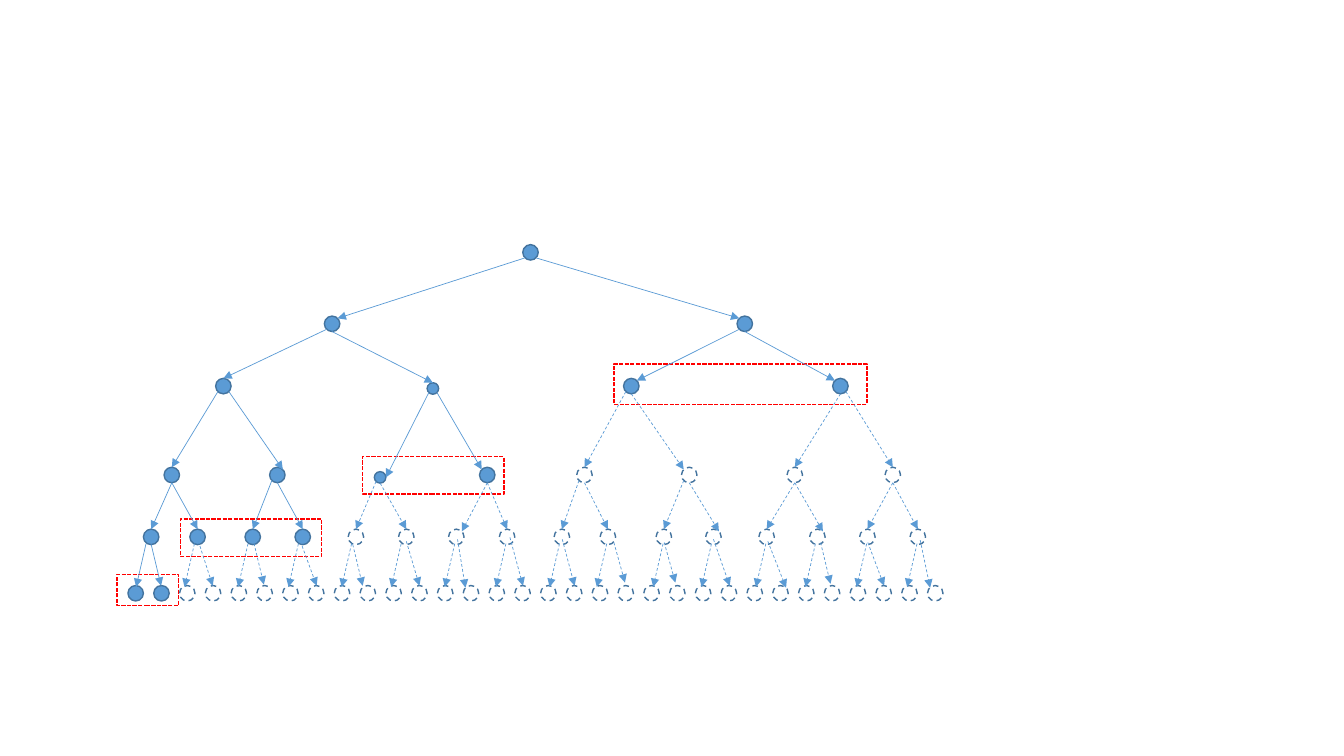
from lxml.etree import SubElement
from pptx import Presentation
from pptx.dml.color import RGBColor
from pptx.enum.dml import MSO_LINE
from pptx.enum.shapes import MSO_CONNECTOR, MSO_SHAPE
from pptx.oxml.ns import qn
from pptx.util import Cm, Pt

# Content: tree levels as (centre y, filled nodes, centre xs), in cm
LEVELS = [
    (6.36, 1, [13.37]),
    (8.16, 2, [8.37, 18.77]),
    (9.73, 4, [5.63, 10.91, 15.91, 21.18]),
    (11.97, 4, [4.33, 6.99, 9.58, 12.28, 14.73, 17.37, 20.03, 22.50]),
    (13.53, 4, [3.81, 4.98, 6.37, 7.63, 8.97, 10.24, 11.50, 12.78,
                14.16, 15.32, 16.73, 17.98, 19.32, 20.60, 21.86, 23.13]),
    (14.95, 2, [3.42 + 0.65 * leaf for leaf in range(32)]),
]
SMALL_NODES = {(2, 1), (3, 2)}  # (level, index)

# Sides joined by each arrow, one per child: "parent side, child side"
LINKS = [
    ["BL TR", "BR TL"],
    ["BL T", "B T", "BL TR", "B TL"],
    ["BL T", "BR TR", "BL R", "BR TL", "BL T", "B TL", "B T", "BR T"],
    ["B T", "B T", "BL T", "B T", "BL T", "B T", "B TR", "B T",
     "BL T", "B T", "BL T", "B TR", "B T", "B TR", "B T", "B T"],
]

# Arrows to the leaves: left ones all lean alike, right ones vary
LEFT_STARTS = [3.68, 4.90, 6.25, 7.52, 8.86, 10.11, 11.46, 12.75,
               14.10, 15.29, 16.71, 17.93, 19.30, 20.55, 21.84, 23.11]
LEFT_TOP, LEFT_RUN, LEFT_DROP = 13.70, -0.25, 1.09
RIGHT_ARROWS = [
    (3.81, 13.72, 4.06, 14.76), (5.00, 13.64, 5.36, 14.76),
    (6.40, 13.69, 6.65, 14.73), (7.57, 13.64, 7.98, 14.76),
    (8.89, 13.72, 9.14, 14.76), (10.24, 13.64, 10.57, 14.76),
    (11.53, 13.59, 11.73, 14.81), (12.85, 13.54, 13.18, 14.76),
    (14.17, 13.59, 14.48, 14.76), (15.47, 13.67, 15.75, 14.68),
    (16.74, 13.67, 17.02, 14.68), (17.98, 13.59, 18.39, 14.76),
    (19.35, 13.64, 19.81, 14.81), (20.68, 13.67, 20.93, 14.71),
    (21.87, 13.67, 22.28, 14.76), (23.19, 13.61, 23.44, 14.81),
]

# Red frames: left, top, width, height
FRAMES = [(15.47, 9.17, 6.38, 1.02), (9.14, 11.51, 3.56, 0.94),
          (4.55, 13.08, 3.56, 0.94), (2.95, 14.47, 1.55, 0.79)]

BLUE, DARK_BLUE, RED, WHITE = "5B9BD5", "43739E", "FF0000", "FFFFFF"
NODE_SIZE, SMALL_SIZE, SMALL_SHIFT = 0.39, 0.29, 0.06
DIRECTIONS = {"T": (0, -1), "B": (0, 1), "R": (1, 0), "BL": (-0.71, 0.71),
              "BR": (0.71, 0.71), "TL": (-0.71, -0.71), "TR": (0.71, -0.71)}

deck = Presentation()
deck.slide_width, deck.slide_height = Cm(33.87), Cm(19.05)
page = deck.slides.add_slide(deck.slide_layouts[6])


def color(value):
    return RGBColor.from_string(value)


def style_line(line, value, width, dash=None):
    line.color.rgb = color(value)
    line.width = Pt(width)
    if dash is not None:
        line.dash_style = dash


def add_outline(kind, left, top, width, height, fill, line, dash=None):
    shape = page.shapes.add_shape(kind, Cm(left), Cm(top), Cm(width), Cm(height))
    shape.shadow.inherit = False
    shape.fill.solid()
    shape.fill.fore_color.rgb = color(fill)
    style_line(shape.line, line, 1, dash)


def add_arrow(x1, y1, x2, y2, dashed):
    arrow = page.shapes.add_connector(
        MSO_CONNECTOR.STRAIGHT, Cm(x1), Cm(y1), Cm(x2), Cm(y2))
    style_line(arrow.line, BLUE, 0.5, MSO_LINE.DASH if dashed else None)
    properties = arrow.line._get_or_add_ln()
    SubElement(properties, qn("a:tailEnd"), type="triangle")
    SubElement(arrow._element.spPr, qn("a:effectLst"))


def node_place(level, index):
    """Centre x, centre y and diameter of one node."""
    y, _, centres = LEVELS[level]
    if (level, index) in SMALL_NODES:
        return centres[index], y + SMALL_SHIFT, SMALL_SIZE
    return centres[index], y, NODE_SIZE


def node_side(level, index, side):
    x, y, size = node_place(level, index)
    across, down = DIRECTIONS[side]
    return x + across * size / 2, y + down * size / 2


def is_dashed(level, index):
    return index >= LEVELS[level][1]


# Frames at the back
for frame in FRAMES:
    add_outline(MSO_SHAPE.RECTANGLE, *frame, WHITE, RED, MSO_LINE.SQUARE_DOT)

# Nodes, from the leaves up
for level in reversed(range(len(LEVELS))):
    for index in range(len(LEVELS[level][2])):
        x, y, size = node_place(level, index)
        dashed = is_dashed(level, index)
        add_outline(MSO_SHAPE.OVAL, x - size / 2, y - size / 2, size, size,
                    WHITE if dashed else BLUE, DARK_BLUE,
                    MSO_LINE.DASH if dashed else None)

# Arrows between the upper levels
for level, links in enumerate(LINKS):
    for child, link in enumerate(links):
        parent_side, child_side = link.split()
        add_arrow(*node_side(level, child // 2, parent_side),
                  *node_side(level + 1, child, child_side),
                  is_dashed(level + 1, child))

# Arrows to the leaves
leaf_level = len(LEVELS) - 1
for parent, (start, right_arrow) in enumerate(zip(LEFT_STARTS, RIGHT_ARROWS)):
    add_arrow(start, LEFT_TOP, start + LEFT_RUN, LEFT_TOP + LEFT_DROP,
              is_dashed(leaf_level, 2 * parent))
    add_arrow(*right_arrow, is_dashed(leaf_level, 2 * parent + 1))

deck.save("out.pptx")
